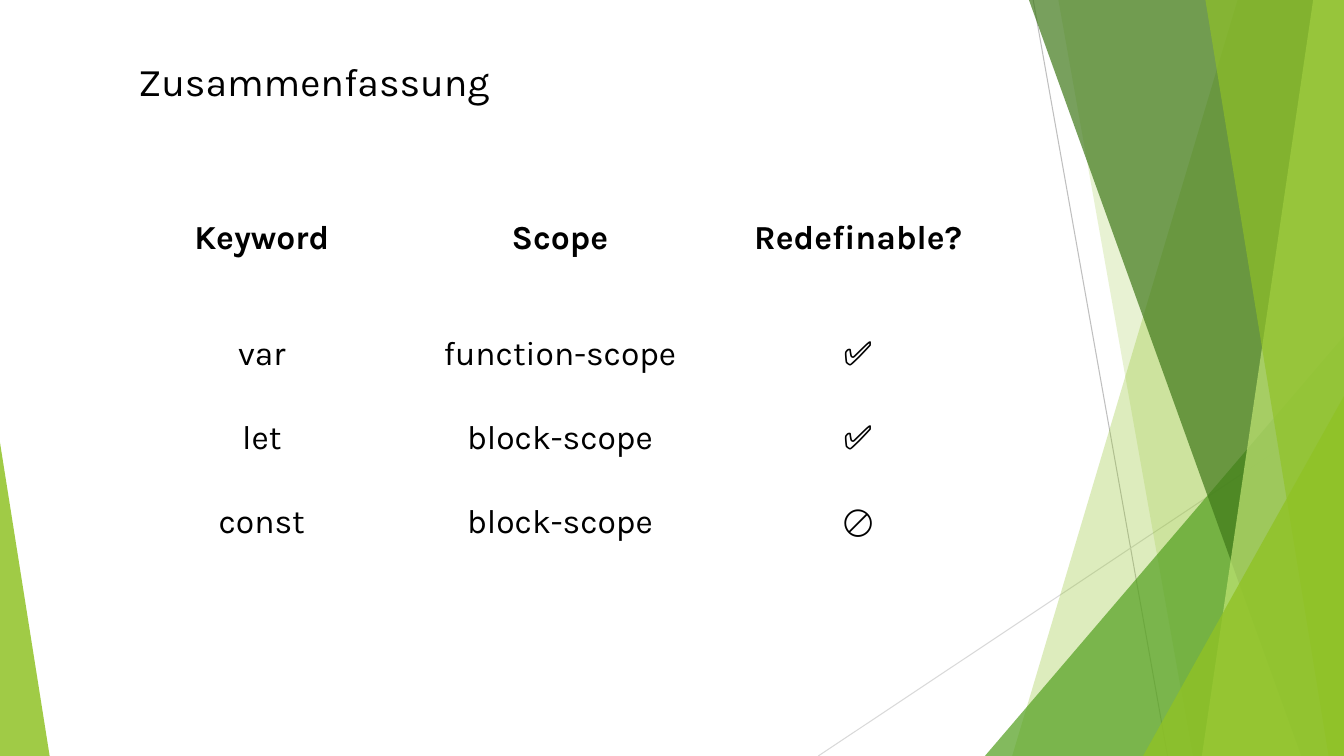
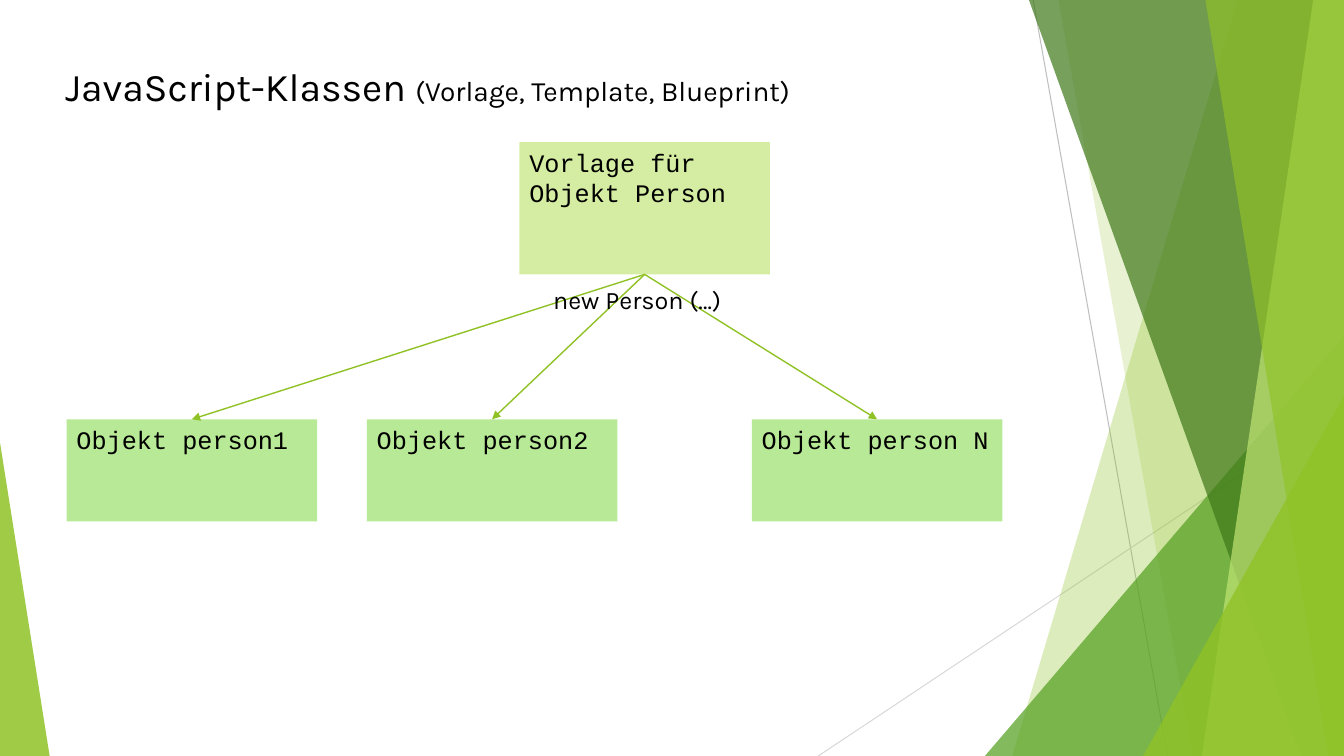
from lxml import etree
from pptx import Presentation
from pptx import util as u
from pptx.dml.color import RGBColor
from pptx.enum import shapes, text
from pptx.oxml import ns

COLOURS = {
    "text": "000000",
    "green": "90C226",
    "leaf": "54A021",
    "forest": "3F7819",
    "lime": "C0E474",
    "template": "D5EDA2",
    "object": "B7E996",
    "grey": "BFBFBF",
    "pale grey": "D9D9D9",
}
FONT = "Karla"
CODE_FONT = "Courier New"
WIDTH, HEIGHT = 960, 540

KEYWORDS = [
    ("Keyword", "Scope", "Redefinable?"),
    ("var", "function-scope", "✅"),
    ("let", "block-scope", "✅"),
    ("const", "block-scope", "🚫"),
]
OBJECTS = [
    ("Objekt person1", 47.5),
    ("Objekt person2", 262),
    ("Objekt person N", 537),
]


def colour(name):
    """Return the named palette colour."""
    return RGBColor.from_string(COLOURS[name])


def points(*lengths):
    """Convert several lengths in points."""
    return [u.Pt(length) for length in lengths]


def add_span(para, words, size, font=FONT, bold=False):
    """Add one formatted run to a paragraph."""
    span = para.add_run()
    span.text = words
    span.font.name = font
    span.font.size = u.Pt(size)
    span.font.bold = bold
    span.font.color.rgb = colour("text")


def paint(shape, fill, opacity=100):
    """Give a shape a plain fill without outline or shadow."""
    shape.shadow.inherit = False
    shape.line.fill.background()
    shape.fill.solid()
    shape.fill.fore_color.rgb = colour(fill)
    if opacity < 100:
        tint = shape.element.xpath("./p:spPr/a:solidFill/a:srgbClr")[0]
        etree.SubElement(tint, ns.qn("a:alpha"), val=str(opacity * 1000))


def add_line(parent, start, end, line, width):
    """Draw a straight line without shadow."""
    connector = parent.shapes.add_connector(
        shapes.MSO_CONNECTOR.STRAIGHT, *points(*start, *end))
    connector.line.color.rgb = colour(line)
    connector.line.width = u.Pt(width)
    etree.SubElement(connector.element.spPr, ns.qn("a:effectLst"))
    return connector


def add_band(group, top_left, bottom_left, fill, opacity):
    """Draw a slanted band that reaches the right edge of the slide."""
    builder = group.shapes.build_freeform(*points(top_left, 0))
    corners = [(WIDTH, 0), (WIDTH, HEIGHT), (bottom_left, HEIGHT)]
    builder.add_line_segments([points(*corner) for corner in corners])
    paint(builder.convert_to_shape(), fill, opacity)


def add_wedge(group, left, top, width, apex, fill, opacity):
    """Draw a triangle that stands on the bottom edge of the slide."""
    wedge = group.shapes.add_shape(
        shapes.MSO_SHAPE.ISOSCELES_TRIANGLE,
        *points(left, top, width, HEIGHT - top))
    wedge.adjustments[0] = apex
    paint(wedge, fill, opacity)


def decorate(layout, page):
    """Draw the shared facets and move them into the layout."""
    group = page.shapes.add_group_shape()
    add_line(group, (738, 0), (834, HEIGHT), "grey", 0.75)
    add_line(group, (WIDTH, 290), (584.5, HEIGHT), "pale grey", 0.75)
    add_band(group, 884, 723, "green", 30)
    add_band(group, 756, 852, "green", 20)
    add_wedge(group, 703.5, 240, 256.5, 1, "leaf", 72)
    add_band(group, 735, 929.5, "forest", 70)
    add_band(group, 938, 858.5, "lime", 70)
    add_band(group, 861, 949, "green", 65)
    add_wedge(group, 816.5, 283, 143.5, 1, "green", 80)
    add_wedge(group, 0, 316, 35.5, 0, "green", 85)
    for number, item in enumerate(group.element.iter(ns.qn("p:cNvPr")), 100):
        item.set("id", str(number))
    layout.shapes.element.append(group.element)


def set_title(page, left, top, width, *parts):
    """Place the title and fill it with (words, size) parts."""
    title = page.shapes.title
    title.left, title.top, title.width, title.height = points(
        left, top, width, 41)
    frame = title.text_frame
    frame.auto_size = text.MSO_AUTO_SIZE.NONE
    frame.vertical_anchor = text.MSO_ANCHOR.MIDDLE
    para = frame.paragraphs[0]
    para.alignment = text.PP_ALIGN.LEFT
    for words, size in parts:
        add_span(para, words, size)


def add_keyword_table(page):
    """Add the unfilled table of keywords with a tall header row."""
    heights = [105] + [60] * (len(KEYWORDS) - 1)
    column_width = 213
    columns = len(KEYWORDS[0])
    table = page.shapes.add_table(
        len(KEYWORDS), columns,
        *points(80.5, 118, column_width * columns, sum(heights))).table
    table.first_row = table.horz_banding = False
    for column in table.columns:
        column.width = u.Pt(column_width)
    for index, (height, values) in enumerate(zip(heights, KEYWORDS)):
        table.rows[index].height = u.Pt(height)
        for cell, words in zip(table.rows[index].cells, values):
            cell.fill.background()
            cell.vertical_anchor = text.MSO_ANCHOR.MIDDLE
            para = cell.text_frame.paragraphs[0]
            para.alignment = text.PP_ALIGN.CENTER
            add_span(para, words, 24, bold=index == 0)


def add_box(page, words, left, top, height, fill):
    """Add a code-style box with text at its top left."""
    box = page.shapes.add_shape(
        shapes.MSO_SHAPE.RECTANGLE, *points(left, top, 179, height))
    paint(box, fill)
    box.text_frame.word_wrap = True
    box.text_frame.vertical_anchor = text.MSO_ANCHOR.TOP
    para = box.text_frame.paragraphs[0]
    para.alignment = text.PP_ALIGN.LEFT
    add_span(para, words, 18, CODE_FONT)
    return box


def add_arrow(page, source, target):
    """Join the bottom of one box to the top of another with an arrow."""
    arrow = add_line(page, (0, 0), (0, 0), "green", 1)
    arrow.begin_connect(source, 2)
    arrow.end_connect(target, 0)
    outline = arrow.element.xpath("./p:spPr/a:ln")[0]
    etree.SubElement(outline, ns.qn("a:tailEnd"), type="triangle")


def add_label(page, words, left, top, width, height):
    """Add a plain text label."""
    label = page.shapes.add_textbox(*points(left, top, width, height))
    label.text_frame.word_wrap = True
    add_span(label.text_frame.paragraphs[0], words, 18)


def build_summary(page):
    """Build the keyword summary."""
    set_title(page, 91.5, 37.5, 565, ("Zusammenfassung", 28))
    add_keyword_table(page)


def build_classes(page):
    """Build the diagram of a class and its objects."""
    set_title(page, 39.5, 40.5, 620.5, ("JavaScript-Klassen ", 28),
              ("(Vorlage, Template, Blueprint)", 20))
    targets = [add_box(page, words, left, 299.5, 73, "object")
               for words, left in OBJECTS]
    template = add_box(page, "Vorlage für Objekt Person",
                       371, 101.5, 94.5, "template")
    for target in targets:
        add_arrow(page, template, target)
    add_label(page, "new Person (…)", 388, 199.5, 155.5, 29)


def main():
    """Build and save the deck."""
    deck = Presentation()
    deck.slide_width, deck.slide_height = points(WIDTH, HEIGHT)
    layout = deck.slide_layouts.get_by_name("Title Only")
    summary, classes = [deck.slides.add_slide(layout) for _ in range(2)]
    decorate(layout, summary)
    build_summary(summary)
    build_classes(classes)
    deck.save("out.pptx")


if __name__ == "__main__":
    main()
